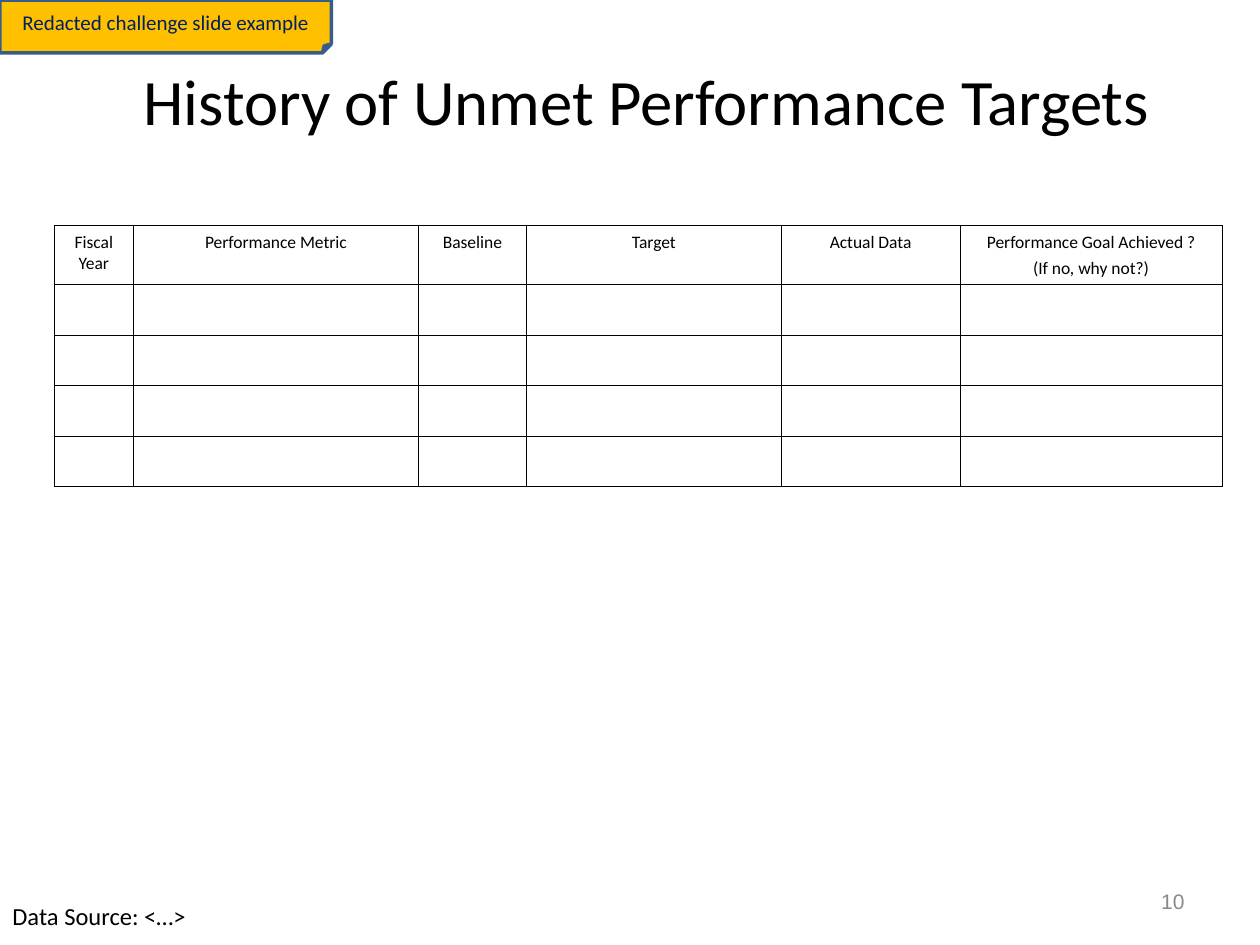
from dataclasses import dataclass

from lxml import etree
from pptx import Presentation
from pptx.dml.color import RGBColor
from pptx.enum.shapes import MSO_SHAPE
from pptx.enum.text import MSO_ANCHOR, MSO_AUTO_SIZE, PP_ALIGN
from pptx.oxml.ns import qn
from pptx.util import Inches, Pt

LEFT, CENTER, RIGHT = PP_ALIGN.LEFT, PP_ALIGN.CENTER, PP_ALIGN.RIGHT
TOP, MIDDLE = MSO_ANCHOR.TOP, MSO_ANCHOR.MIDDLE
NO_AUTOFIT, GROW = MSO_AUTO_SIZE.NONE, MSO_AUTO_SIZE.SHAPE_TO_FIT_TEXT
FOLDED_CORNER = MSO_SHAPE.FOLDED_CORNER
TITLE_ONLY_LAYOUT = 5

COLORS = {
    "black": "000000",
    "gray": "898989",
    "amber": "FFC000",
    "blue": "385D8A",
    "navy": "002060",
}


@dataclass
class TextStyle:
    size: float
    color: str = "black"
    font: str = "Calibri"
    align: int = LEFT


@dataclass
class Column:
    heading: str
    width: float


@dataclass
class Label:
    text: str
    left: float
    top: float
    width: float
    height: float
    style: TextStyle
    anchor: int = MIDDLE
    auto_size: int = NO_AUTOFIT


COLUMNS = [
    Column("Fiscal Year", 0.63),
    Column("Performance Metric", 2.26),
    Column("Baseline", 0.86),
    Column("Target", 2.02),
    Column("Actual Data", 1.42),
    Column("Performance Goal Achieved ?\n(If no, why not?)", 2.08),
]
ROW_HEIGHTS = [0.47] + [0.3] * 4
TITLE = Label("History of Unmet Performance Targets", 0.67, 0.25, 8.92, 1.08,
              TextStyle(37, align=CENTER))
BANNER = Label("Redacted challenge slide example", 0, 0, 2.63, 0.42,
               TextStyle(12, "navy", align=CENTER))
TEXT_BOXES = [
    Label("10", 7.17, 6.95, 2.33, 0.4, TextStyle(12, "gray", "Arial", RIGHT)),
    Label("Data Source: <…>", 0, 7.1, 3.38, 0.34, TextStyle(14), TOP, GROW),
]


def rgb(name: str) -> RGBColor:
    return RGBColor.from_string(COLORS[name])


def write_text(text_frame, text: str, style: TextStyle) -> None:
    text_frame.text = text
    for paragraph in text_frame.paragraphs:
        paragraph.alignment = style.align
        for run in paragraph.runs:
            run.font.size = Pt(style.size)
            run.font.name = style.font
            run.font.color.rgb = rgb(style.color)


def box(label: Label) -> list:
    return [Inches(value) for value in
            (label.left, label.top, label.width, label.height)]


def fill_label(shape, label: Label) -> None:
    text_frame = shape.text_frame
    write_text(text_frame, label.text, label.style)
    text_frame.word_wrap = True
    text_frame.auto_size = label.auto_size
    text_frame.vertical_anchor = label.anchor


def add_title(slide, label: Label) -> None:
    title = slide.shapes.title
    title.left, title.top, title.width, title.height = box(label)
    fill_label(title, label)


def add_banner(slide, label: Label) -> None:
    banner = slide.shapes.add_shape(FOLDED_CORNER, *box(label))
    banner.shadow.inherit = False
    banner.fill.solid()
    banner.fill.fore_color.rgb = rgb("amber")
    banner.line.color.rgb = rgb("blue")
    banner.line.width = Pt(2)
    fill_label(banner, label)


def add_borders(cell, width: float, color: str) -> None:
    properties = cell._tc.get_or_add_tcPr()
    for side in ("a:lnL", "a:lnR", "a:lnT", "a:lnB"):
        border = etree.SubElement(properties, qn(side), w=str(Pt(width)))
        fill = etree.SubElement(border, qn("a:solidFill"))
        etree.SubElement(fill, qn("a:srgbClr"), val=COLORS[color])


def add_targets_table(slide, left: float, top: float) -> None:
    width = sum(column.width for column in COLUMNS)
    frame = slide.shapes.add_table(
        len(ROW_HEIGHTS), len(COLUMNS), Inches(left), Inches(top),
        Inches(width), Inches(sum(ROW_HEIGHTS)))
    table = frame.table
    table.first_row = False
    table.horz_banding = False
    for row, height in zip(table.rows, ROW_HEIGHTS):
        row.height = Inches(height)
    for cell in table.iter_cells():
        add_borders(cell, 0.45, "black")
        cell.fill.background()
    for index, column in enumerate(COLUMNS):
        table.columns[index].width = Inches(column.width)
        text_frame = table.cell(0, index).text_frame
        write_text(text_frame, column.heading, TextStyle(10, align=CENTER))
        for paragraph in text_frame.paragraphs[1:]:
            paragraph.space_before = Pt(2.5)


def main() -> None:
    presentation = Presentation()
    presentation.slide_width = Inches(10)
    presentation.slide_height = Inches(7.5)
    slide = presentation.slides.add_slide(
        presentation.slide_layouts[TITLE_ONLY_LAYOUT])
    add_title(slide, TITLE)
    add_banner(slide, BANNER)
    for label in TEXT_BOXES:
        fill_label(slide.shapes.add_textbox(*box(label)), label)
    add_targets_table(slide, 0.43, 1.79)
    presentation.save("out.pptx")


if __name__ == "__main__":
    main()
